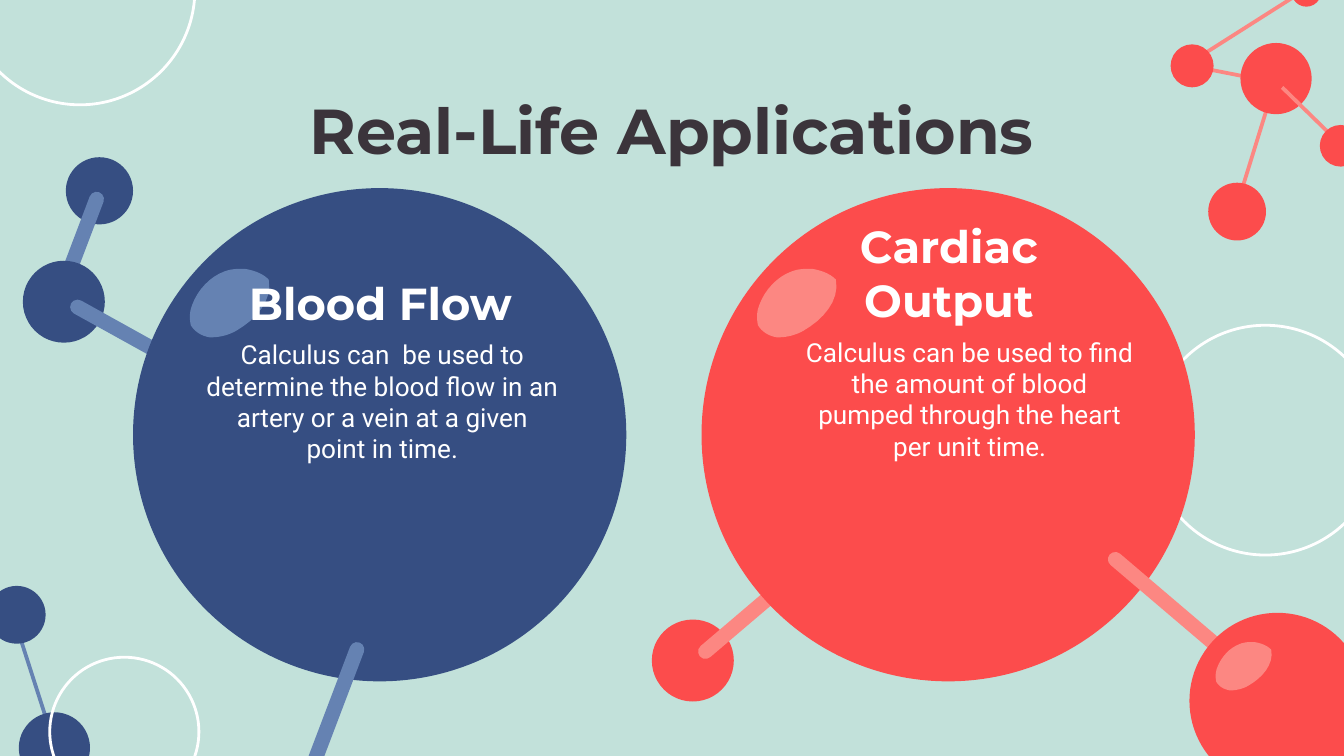
from lxml import etree
from pptx import Presentation
from pptx.dml.color import RGBColor
from pptx.enum.shapes import MSO_CONNECTOR, MSO_SHAPE
from pptx.enum.text import MSO_ANCHOR, MSO_AUTO_SIZE, PP_ALIGN
from pptx.oxml.ns import qn
from pptx.util import Pt

PX = 9144  # EMU per px, 100 px to the inch
COMPARISON_LAYOUT = 4
ELLIPSE = MSO_SHAPE.OVAL
ROUND_RECT = MSO_SHAPE.ROUNDED_RECTANGLE
STRAIGHT = MSO_CONNECTOR.STRAIGHT
TOP, BOTTOM = MSO_ANCHOR.TOP, MSO_ANCHOR.BOTTOM
CENTER = PP_ALIGN.CENTER
NO_AUTOFIT = MSO_AUTO_SIZE.NONE

COLORS = {
    "mint": "C2E1DA",
    "white": "FFFFFF",
    "ink": "3B343B",
    "blue": "364E82",
    "light blue": "6582B2",
    "red": "FC4C4C",
    "light red": "FC8782",
}
ROD_HEIGHT = 11
SHINE_WIDTH = 61
SHINE_START = (40, 1)
SHINE_CURVES = [
    ((35, 1), (30, 1), (25, 3)),
    ((14, 7), (5, 17), (1, 28)),
    ((-1, 33), (-1, 38), (0, 43)),
    ((3, 48), (8, 51), (14, 52)),
    ((15, 52), (15, 52), (16, 52)),
    ((22, 52), (29, 50), (34, 47)),
    ((48, 39), (61, 25), (58, 9)),
    ((53, 4), (46, 2), (40, 1)),
]
CURVE_STEPS = 8


def rgb(name):
    return RGBColor.from_string(COLORS[name])


def px(*lengths):
    return [round(length * PX) for length in lengths]


def paint(shape, color):
    shape.shadow.inherit = False
    shape.fill.solid()
    shape.fill.fore_color.rgb = rgb(color)
    shape.line.fill.background()


def ball(shapes, hue, left, top, size):
    paint(shapes.add_shape(ELLIPSE, *px(left, top, size, size)), hue)


def rod(shapes, hue, left, top, length, angle):
    bond = shapes.add_shape(ROUND_RECT, *px(left, top, length, ROD_HEIGHT))
    bond.adjustments[0] = 0.5
    bond.rotation = angle
    paint(bond, f"light {hue}")


def thin_bond(shapes, hue, left, top, dx, dy):
    bond = shapes.add_connector(STRAIGHT, *px(left, top, left + dx, top + dy))
    bond.line.color.rgb = rgb(f"light {hue}")
    bond.line.width = Pt(2)
    etree.SubElement(bond._element.spPr, qn("a:effectLst"))


def shine_outline():
    """Points along the closed Bezier outline of a highlight."""
    outline = [SHINE_START]
    for b, c, d in SHINE_CURVES:
        a = outline[-1]
        for step in range(1, CURVE_STEPS + 1):
            t = step / CURVE_STEPS
            weights = ((1 - t) ** 3, 3 * t * (1 - t) ** 2, 3 * t * t * (1 - t), t ** 3)
            outline.append(tuple(
                sum(w * p[axis] for w, p in zip(weights, (a, b, c, d)))
                for axis in (0, 1)))
    return outline


def shine(shapes, hue, left, top, width):
    scale = width / SHINE_WIDTH
    outline = [px(x * scale, y * scale) for x, y in shine_outline()]
    builder = shapes.build_freeform(*outline[0])
    builder.add_line_segments(outline[1:], close=True)
    paint(builder.convert_to_shape(*px(left, top)), f"light {hue}")


def molecule(slide, left, top, hue, parts):
    """Group of parts, each given as a drawing function, x, y and sizes."""
    shapes = slide.shapes.add_group_shape().shapes
    for draw, x, y, *sizes in parts:
        draw(shapes, hue, left + x, top + y, *sizes)


def ring(slide, left, top, size):
    circle = slide.shapes.add_shape(ELLIPSE, *px(left, top, size, size))
    circle.shadow.inherit = False
    circle.fill.background()
    circle.line.color.rgb = rgb("white")
    circle.line.width = Pt(1.5)


def fill_placeholder(slide, idx, box, wording, font, anchor=TOP, spacing=1.0, indent=0):
    holder = slide.placeholders[idx]
    slide.shapes._spTree.append(holder._element)  # in front of the molecules
    holder.left, holder.top, holder.width, holder.height = px(*box)
    frame = holder.text_frame
    frame.text = wording
    frame_format = {
        "word_wrap": True, "auto_size": NO_AUTOFIT, "vertical_anchor": anchor,
        **dict.fromkeys(
            ("margin_left", "margin_right", "margin_top", "margin_bottom"), 10 * PX),
    }
    for name, value in frame_format.items():
        setattr(frame, name, value)

    paragraph = frame.paragraphs[0]
    properties = paragraph._p.get_or_add_pPr()
    properties.set("marL", str(indent * PX))
    properties.set("indent", "0")
    etree.SubElement(properties, qn("a:buNone"))
    paragraph.alignment = CENTER
    paragraph.line_spacing = spacing
    paragraph.space_before = Pt(0)
    for name, value in font.items():
        setattr(paragraph.font, name, value)
    return paragraph.font


def title(slide, box, wording):
    font = {"name": "Montserrat", "size": Pt(34), "bold": True}
    fill_placeholder(slide, 0, box, wording, font, spacing=1.15).color.rgb = rgb("ink")


def application(slide, idx, heading_box, heading, body_box, body):
    heading_font = {"name": "Montserrat", "size": Pt(24), "bold": True}
    body_font = {"name": "Roboto", "size": Pt(14), "bold": False}
    for font in (
        fill_placeholder(slide, idx, heading_box, heading, heading_font, anchor=BOTTOM),
        fill_placeholder(slide, idx + 1, body_box, body, body_font, indent=50),
    ):
        font.color.rgb = rgb("white")


def main():
    deck = Presentation()
    deck.slide_width, deck.slide_height = px(1000, 562.5)
    slide = deck.slides.add_slide(deck.slide_layouts[COMPARISON_LAYOUT])
    slide.background.fill.solid()
    slide.background.fill.fore_color.rgb = rgb("mint")

    molecule(slide, -9, 436, "blue", [
        (thin_bond, 20, 26, 27, 84), (ball, 0, 0, 43), (ball, 23, 94, 53)])
    molecule(slide, 871, -17, "red", [
        (thin_bond, 20, 67, 51, 10), (thin_bond, 75, 87, -26, 84),
        (ball, 28, 153, 43), (ball, 52, 49, 53),
        (thin_bond, 83, 82, 42, 41), (ball, 111, 110, 31),
        (thin_bond, 99, 10, -85, 54), (ball, 90, 0, 22), (ball, 0, 50, 32)])
    for left, top, size in ((-26, -93, 171), (37, 489, 111), (856, 242, 171)):
        ring(slide, left, top, size)
    molecule(slide, 17, 117, "blue", [
        (ball, 32, 0, 50), (rod, 4, 57, 78, 290.8), (ball, 0, 77, 61),
        (rod, 29, 130, 110, 29), (ball, 82, 23, 367), (shine, 125, 82, 61),
        (rod, 176, 407, 110, 290.8)])
    molecule(slide, 485, 140, "red", [
        (ball, 0, 321, 61), (rod, 21, 303, 123, 139.6), (ball, 37, 0, 367),
        (shine, 79, 59, 61), (rod, 326, 307, 123, 40.4), (ball, 400, 316, 131),
        (shine, 420, 337, 43)])

    title(slide, (78, 49, 844, 63), "Real-Life Applications")
    application(
        slide, 1, (157, 194, 252, 61), "Blood Flow", (92, 242, 335, 138),
        "Calculus can  be used to determine the blood flow in an artery "
        "or a vein at a given point in time.")
    application(
        slide, 3, (580, 192, 252, 61), "Cardiac Output", (539, 240, 315, 138),
        "Calculus can be used to find the amount of blood pumped "
        "through the heart per unit time.")
    deck.save("out.pptx")


if __name__ == "__main__":
    main()
